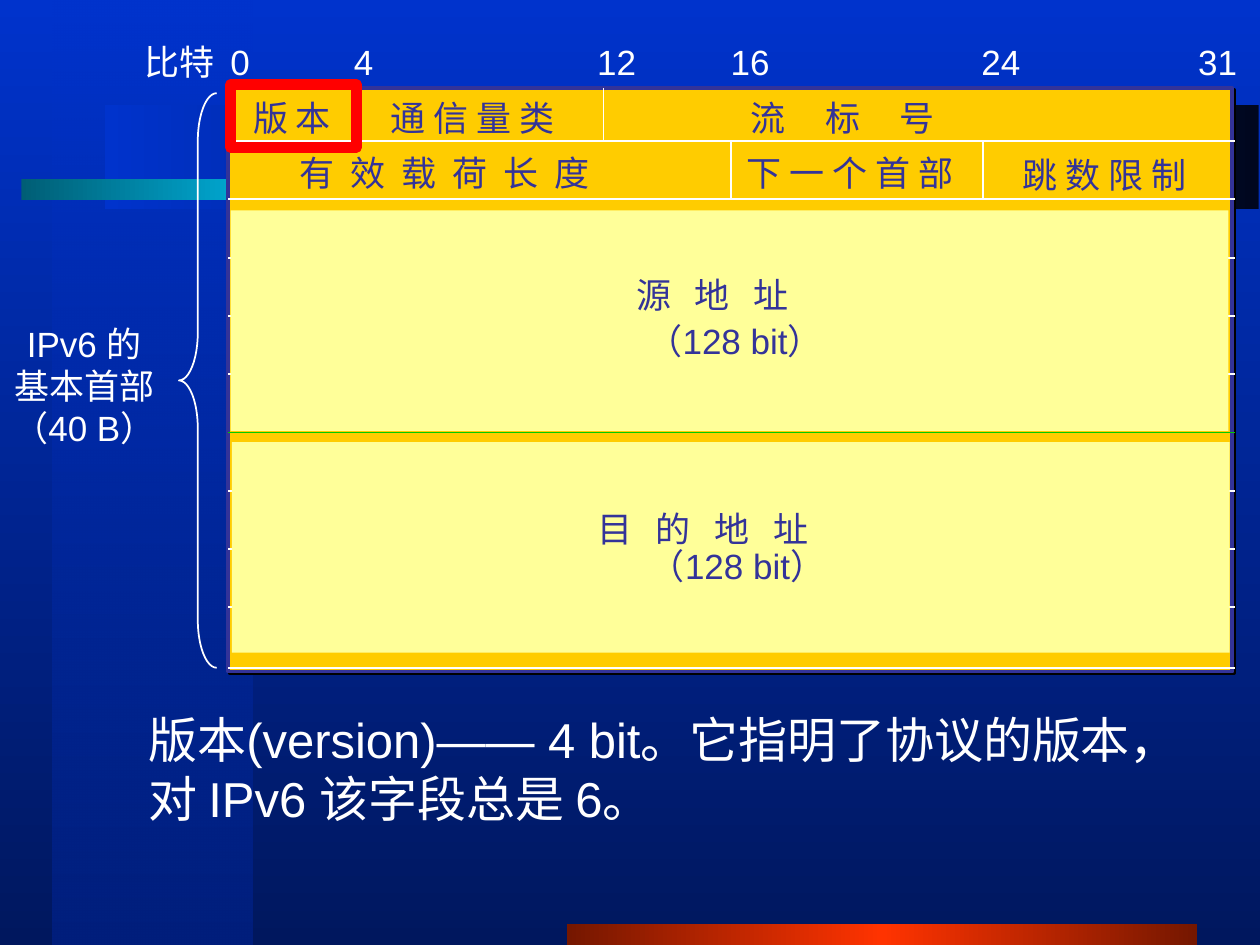
from lxml import etree
from pptx import Presentation
from pptx import util as u
from pptx.dml.color import RGBColor
from pptx.enum import shapes, text
from pptx.oxml.ns import qn

COLORS = {
    "white": "FFFFFF", "ink": "333399", "header": "FFCC00", "address": "FFFF99",
    "divider": "00CC00", "highlight": "FF0000", "shadow": "000000",
    "blue": "0033CC", "navy": "00175E", "mid_blue": "001F7D", "night": "00071F",
    "rust": "751700", "orange": "FF3300", "teal": "005E75", "cyan": "00CCFF",
}
LEFT, RIGHT, TOP = 1.81, 9.8, 0.7
ROW_TOP, ROW_HEIGHT = 1.12, 0.4625


def rgb(name):
    return RGBColor.from_string(COLORS[name])


def add_gradient(fill, angle, stops):
    """Stops are (percent, colour name) or (percent, colour name, alpha percent)."""
    fill.gradient()
    fill.gradient_angle = (360 - angle) % 360
    stop_list = fill.gradient_stops[0]._gs.getparent()
    for old in list(stop_list):
        stop_list.remove(old)
    for position, color, *alpha in stops:
        stop = etree.SubElement(stop_list, qn("a:gs"), pos=str(position * 1000))
        value = etree.SubElement(stop, qn("a:srgbClr"), val=COLORS[color])
        for percent in alpha:
            etree.SubElement(value, qn("a:alpha"), val=str(percent * 1000))


def add_box(slide, box, fill=None, line=None, width=1, preset=shapes.MSO_SHAPE.RECTANGLE):
    shape = slide.shapes.add_shape(preset, *map(u.Inches, box))
    shape.shadow.inherit = False
    if fill:
        shape.fill.solid()
        shape.fill.fore_color.rgb = rgb(fill)
    else:
        shape.fill.background()
    if line:
        shape.line.color.rgb = rgb(line)
        shape.line.width = u.Pt(width)
    else:
        shape.line.fill.background()
    return shape


def add_line(slide, x1, y1, x2, y2, color="white"):
    line = slide.shapes.add_connector(
        shapes.MSO_CONNECTOR.STRAIGHT, *map(u.Inches, (x1, y1, x2, y2)))
    line.line.color.rgb = rgb(color)
    line.line.width = u.Pt(1)
    etree.SubElement(line._element.spPr, qn("a:effectLst"))


def add_text(slide, words, box, size=20, color="white", spacing=0,
             align=text.PP_ALIGN.LEFT, wrap=False):
    frame = slide.shapes.add_textbox(*map(u.Inches, box)).text_frame
    frame.word_wrap = wrap
    frame.auto_size = text.MSO_AUTO_SIZE.SHAPE_TO_FIT_TEXT
    frame.text = words
    for paragraph in frame.paragraphs:
        paragraph.alignment = align
        for run in paragraph.runs:
            run.font.size = u.Pt(size)
            run.font.name = "Arial"
            run.font.color.rgb = rgb(color)
            if spacing:
                run._r.get_or_add_rPr().set("spc", str(round(spacing * 100)))


def add_backdrop(slide):
    add_gradient(slide.background.fill, 90, [(0, "blue"), (100, "navy")])
    bands = [
        ((0.42, 0, 1.58, 7.5), 90, [(0, "blue", 50), (100, "mid_blue")]),
        ((4.5, 7.33, 5, 0.17), 180, [(0, "rust"), (50, "orange"), (100, "rust")]),
        ((0.83, 0.83, 9.16, 0.83), 180, [(0, "night"), (100, "blue")]),
        ((0.17, 1.42, 5.17, 0.17), 180, [(0, "teal"), (50, "cyan"), (100, "teal")]),
    ]
    for box, angle, stops in bands:
        add_gradient(add_box(slide, box).fill, angle, stops)


def add_header_grid(slide):
    frame = add_box(slide, (LEFT, TOP, 7.97, 4.63), "header", "ink", 2.25)
    effects = frame._element.spPr.find(qn("a:effectLst"))
    shadow = etree.SubElement(effects, qn("a:outerShdw"),
                              dist=str(u.Pt(1.4)), dir=str(45 * 60000))
    etree.SubElement(shadow, qn("a:srgbClr"), val=COLORS["shadow"])

    # 32-bit rows, with the divider between the two addresses
    for row in range(9):
        y = ROW_TOP + row * ROW_HEIGHT
        add_line(slide, LEFT, y, RIGHT, y, "divider" if row == 5 else "white")

    # Address fields
    add_box(slide, (1.84, 3.51, 7.92, 1.67), "address")
    add_box(slide, (1.83, 1.67, 7.92, 1.75), "address")
    add_line(slide, LEFT, 5.3, RIGHT, 5.3)

    # Field separators
    for x in (2.8, 4.79):
        add_line(slide, x, TOP, x, ROW_TOP)
    for x in (5.8, 7.8):
        add_line(slide, x, ROW_TOP, x, ROW_TOP + ROW_HEIGHT)


def add_labels(slide):
    # Bit scale
    scale = [("比特", 1.05, 0.76), ("0", 1.73, 0.35), ("4", 2.71, 0.35),
             ("12", 4.64, 0.51), ("16", 5.7, 0.51), ("24", 7.69, 0.51),
             ("31", 9.41, 0.51)]
    for words, x, width in scale:
        add_text(slide, words, (x, 0.27, width, 0.43))

    # Field names: words, left, top, width, letter spacing
    fields = [
        ("版 本", 1.91, 0.72, 0.89, 0),
        ("通 信 量 类", 3, 0.72, 1.73, 0),
        ("流 标 号", 5.86, 0.72, 2.43, 9),
        ("有 效 载 荷 长 度", 2.28, 1.15, 3.26, 2.3),
        ("下 一 个 首 部", 5.83, 1.15, 2.15, 0),
        ("跳 数 限 制", 8.02, 1.17, 1.73, 0),
        ("源 地 址", 4.95, 2.12, 1.87, 4.6),
        ("（128 bit）", 5.04, 2.49, 1.72, 0),
        ("目 的 地 址", 4.64, 3.98, 2.56, 4.6),
        ("（128 bit）", 5.06, 4.27, 1.72, 0),
    ]
    for words, x, y, width, spacing in fields:
        add_text(slide, words, (x, y, width, 0.43), color="ink", spacing=spacing)


def main():
    deck = Presentation()
    deck.slide_width, deck.slide_height = u.Inches(10), u.Inches(7.5)
    slide = deck.slides.add_slide(deck.slide_layouts[6])

    add_backdrop(slide)
    add_text(slide, "版本(version)—— 4 bit。它指明了协议的版本，对 IPv6 该字段总是 6。",
             (1.08, 5.58, 8.45, 1.04), size=28, wrap=True)
    add_header_grid(slide)
    add_labels(slide)

    # Basic header brace and its caption
    brace = add_box(slide, (1.42, 0.74, 0.3, 4.56), line="white",
                    preset=shapes.MSO_SHAPE.LEFT_BRACE)
    brace.adjustments[0] = 1.27
    add_text(slide, "IPv6 的\n基本首部\n（40 B）", (-0.06, 2.51, 1.46, 1.1),
             align=text.PP_ALIGN.CENTER)

    # Highlight on the version field
    add_box(slide, (1.83, 0.67, 1, 0.5), line="highlight", width=6)
    deck.save("out.pptx")


if __name__ == "__main__":
    main()
